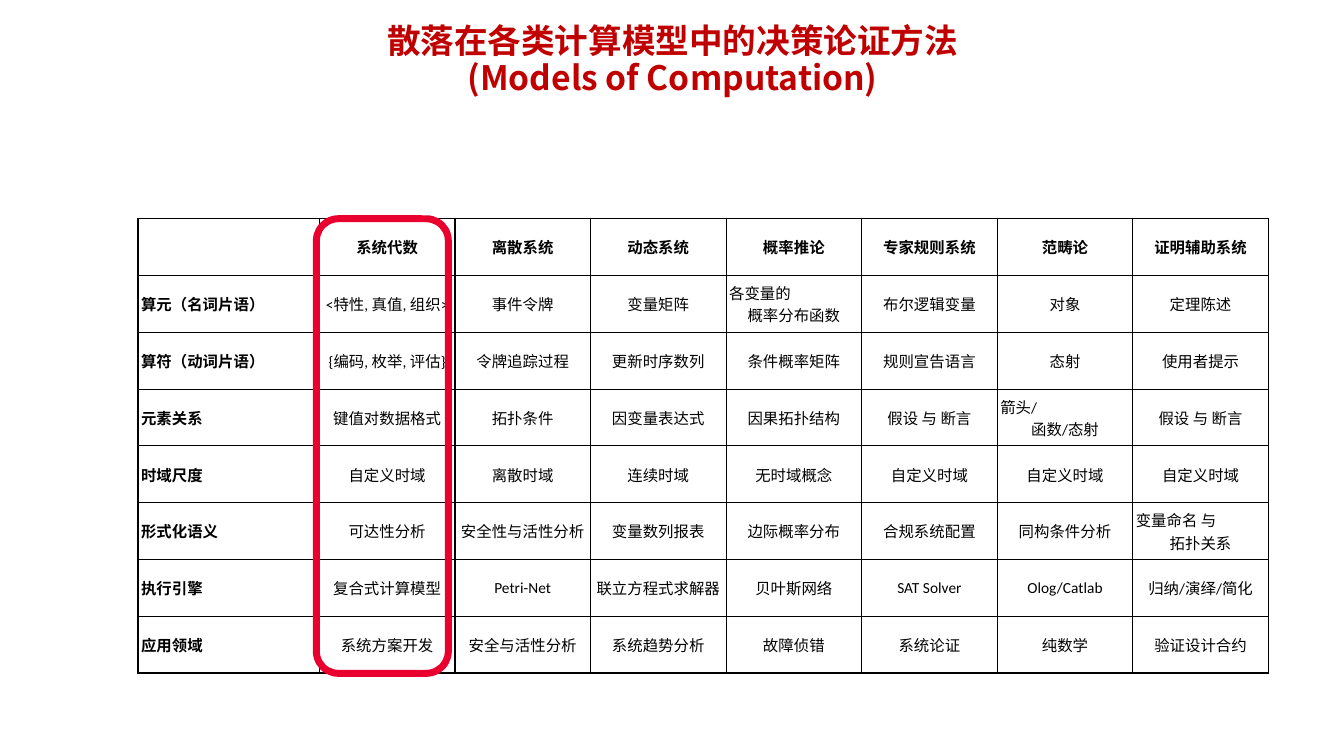
from lxml import etree
from pptx import Presentation
from pptx.dml.color import RGBColor
from pptx.enum.shapes import MSO_SHAPE
from pptx.enum.text import MSO_ANCHOR, PP_ALIGN
from pptx.oxml.ns import qn
from pptx.util import Inches, Pt

LEFT, CENTER = PP_ALIGN.LEFT, PP_ALIGN.CENTER
MIDDLE = MSO_ANCHOR.MIDDLE
ROUNDED = MSO_SHAPE.ROUNDED_RECTANGLE

COLORS = {"title": "C00000", "text": "000000", "border": "000000", "highlight": "E9002F"}
CHINESE_FONT = "Noto Sans CJK SC"
TITLE_FORMAT = {"name": CHINESE_FONT, "size": Pt(24), "bold": True}
HEADING_FORMAT = {"name": "Calibri", "size": Pt(11), "bold": True}
BODY_FORMAT = {**HEADING_FORMAT, "bold": False}

# Grid of the table, in inches
TABLE_LEFT, TABLE_TOP, TABLE_WIDTH, TABLE_HEIGHT = 1.37, 2.17, 11.22, 4.51
LABEL_WIDTH = 1.8
CELL_MARGIN = 0.03

MODELS = [
    ["", "系统代数", "离散系统", "动态系统", "概率推论", "专家规则系统", "范畴论", "证明辅助系统"],
    ["算元（名词片语）", "<特性, 真值, 组织>", "事件令牌", "变量矩阵",
     "各变量的\n概率分布函数", "布尔逻辑变量", "对象", "定理陈述"],
    ["算符（动词片语）", "{编码, 枚举, 评估}", "令牌追踪过程", "更新时序数列",
     "条件概率矩阵", "规则宣告语言", "态射", "使用者提示"],
    ["元素关系", "键值对数据格式", "拓扑条件", "因变量表达式",
     "因果拓扑结构", "假设 与 断言", "箭头/\n函数/态射", "假设 与 断言"],
    ["时域尺度", "自定义时域", "离散时域", "连续时域",
     "无时域概念", "自定义时域", "自定义时域", "自定义时域"],
    ["形式化语义", "可达性分析", "安全性与活性分析", "变量数列报表",
     "边际概率分布", "合规系统配置", "同构条件分析", "变量命名 与\n拓扑关系"],
    ["执行引擎", "复合式计算模型", "Petri-Net", "联立方程式求解器",
     "贝叶斯网络", "SAT Solver", "Olog/Catlab", "归纳/演绎/简化"],
    ["应用领域", "系统方案开发", "安全与活性分析", "系统趋势分析",
     "故障侦错", "系统论证", "纯数学", "验证设计合约"],
]
COLUMN_WIDTH = (TABLE_WIDTH - LABEL_WIDTH) / (len(MODELS[0]) - 1)
ROW_HEIGHT = TABLE_HEIGHT / len(MODELS)


def format_paragraph(paragraph, alignment, font_format, color):
    paragraph.alignment = alignment
    for run in paragraph.runs:
        for name, value in font_format.items():
            setattr(run.font, name, value)
        run.font.color.rgb = RGBColor.from_string(COLORS[color])
        east_asian = etree.SubElement(run.font._element, qn("a:ea"))
        east_asian.set("typeface", CHINESE_FONT)


def add_title(slide, text):
    box = slide.shapes.add_textbox(Inches(0.67), Inches(0.35), Inches(12.01), Inches(0.51))
    frame = box.text_frame
    frame.word_wrap = True
    frame.vertical_anchor = MIDDLE
    paragraph = frame.paragraphs[0]
    paragraph.text = text
    paragraph.line_spacing = 0.9
    format_paragraph(paragraph, CENTER, TITLE_FORMAT, "title")


def add_borders(cell):
    properties = cell._tc.get_or_add_tcPr()
    for position, side in enumerate(("lnL", "lnR", "lnT", "lnB")):
        line = etree.Element(qn(f"a:{side}"), w=str(Pt(1)))
        fill = etree.SubElement(line, qn("a:solidFill"))
        etree.SubElement(fill, qn("a:srgbClr"), val=COLORS["border"])
        properties.insert(position, line)


def fill_cell(cell, text, is_heading, alignment):
    cell.vertical_anchor = MIDDLE
    for side in ("left", "right", "top", "bottom"):
        setattr(cell, f"margin_{side}", Inches(CELL_MARGIN))
    cell.fill.background()
    add_borders(cell)
    cell.text = text
    paragraphs = cell.text_frame.paragraphs
    for paragraph in paragraphs:
        # In a two-line cell the first line starts at the left edge
        is_last = paragraph is paragraphs[-1]
        format_paragraph(paragraph, alignment if is_last else LEFT,
                         HEADING_FORMAT if is_heading else BODY_FORMAT, "text")


def add_model_table(slide):
    frame = slide.shapes.add_table(len(MODELS), len(MODELS[0]), Inches(TABLE_LEFT),
                                   Inches(TABLE_TOP), Inches(TABLE_WIDTH), Inches(TABLE_HEIGHT))
    table = frame.table
    table.first_row = table.horz_banding = False
    for index, column in enumerate(table.columns):
        column.width = Inches(COLUMN_WIDTH if index else LABEL_WIDTH)
    for row_index, texts in enumerate(MODELS):
        table.rows[row_index].height = Inches(ROW_HEIGHT)
        for column_index, text in enumerate(texts):
            fill_cell(table.cell(row_index, column_index), text,
                      row_index == 0 or column_index == 0, CENTER if column_index else LEFT)


def add_column_highlight(slide):
    left = TABLE_LEFT + LABEL_WIDTH - CELL_MARGIN
    shape = slide.shapes.add_shape(ROUNDED, Inches(left), Inches(TABLE_TOP),
                                   Inches(1.31), Inches(TABLE_HEIGHT))
    shape.shadow.inherit = False
    shape.fill.background()
    shape.line.color.rgb = RGBColor.from_string(COLORS["highlight"])
    shape.line.width = Pt(5)


def main():
    presentation = Presentation()
    presentation.slide_width = Inches(13.34)
    presentation.slide_height = Inches(7.5)
    slide = presentation.slides.add_slide(presentation.slide_layouts[6])
    add_title(slide, "散落在各类计算模型中的决策论证方法\v(Models of Computation)")
    add_model_table(slide)
    add_column_highlight(slide)
    presentation.save("out.pptx")


if __name__ == "__main__":
    main()
